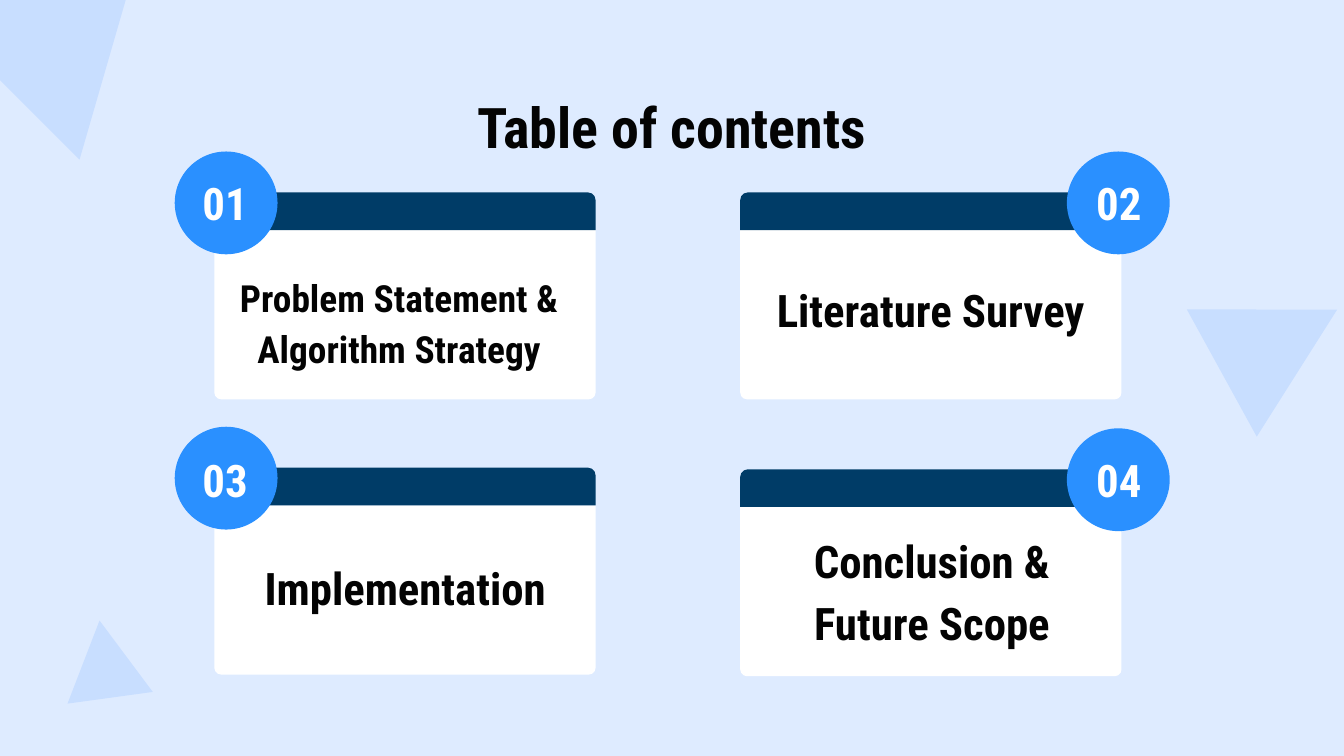
import pptx
import pptx.util
import pptx.dml.color
import pptx.enum.shapes
import pptx.enum.text

HUES = {"back": "DEEBFF", "pale": "C8DEFF", "card": "FFFFFF",
        "bar": "003C67", "disc": "2A90FF", "ink": "030303"}
KIND = pptx.enum.shapes.MSO_SHAPE
MID = pptx.enum.text.MSO_ANCHOR.MIDDLE
TOP = pptx.enum.text.MSO_ANCHOR.TOP

deck = pptx.Presentation()
deck.slide_width = pptx.util.Inches(10)
deck.slide_height = deck.slide_width * 9 // 16
cell = deck.slide_width / 100  # square grid, 100 columns wide
slide = deck.slides.add_slide(deck.slide_layouts[5])


def draw(kind, box, hue, turn=0, bends=()):
    """Add a plain filled shape; box is in grid cells."""
    shape = slide.shapes.add_shape(kind, *[round(n * cell) for n in box])
    shape.shadow.inherit = False
    shape.fill.solid()
    shape.fill.fore_color.rgb = pptx.dml.color.RGBColor.from_string(HUES[hue])
    shape.line.fill.background()
    shape.rotation = turn
    for spot, bend in enumerate(bends):
        shape.adjustments[spot] = bend


def write(shape, box, text, size, hue, anchor=TOP, form=None):
    """Place a text shape on the grid and set its one paragraph."""
    for name, n in zip(("left", "top", "width", "height"), box):
        setattr(shape, name, round(n * cell))
    frame = shape.text_frame
    frame.text = text
    edge = round(cell)
    looks = {"word_wrap": True, "vertical_anchor": anchor,
             "auto_size": pptx.enum.text.MSO_AUTO_SIZE.NONE,
             "margin_left": edge, "margin_right": edge,
             "margin_top": edge, "margin_bottom": edge}
    for name, value in looks.items():
        setattr(frame, name, value)
    para = frame.paragraphs[0]
    form = {"alignment": pptx.enum.text.PP_ALIGN.CENTER, **(form or {})}
    for name, value in form.items():
        setattr(para, name, value)
    font = para.runs[0].font
    face = {"name": "Roboto Condensed", "size": pptx.util.Pt(size), "bold": True}
    for name, value in face.items():
        setattr(font, name, value)
    font.color.rgb = pptx.dml.color.RGBColor.from_string(HUES[hue])
    return para


back = slide.background.fill
back.solid()
back.fore_color.rgb = pptx.dml.color.RGBColor.from_string(HUES["back"])

for box, turn in [((89.8, 20.5, 10.8, 9.8), 61.2),
                  ((-4.9, -11, 20.3, 18.4), 45),
                  ((4.6, 46.15, 6.4, 5.8), 352.2)]:
    draw(KIND.ISOSCELES_TRIANGLE, box, "pale", turn)

write(slide.shapes.title, (7.8, 5.9, 84.4, 7), "Table of contents", 30, "ink")

# card left, card top, disc left, number left and top, topic, its box, size
cards = [
    (15.95, 14.32, 13, 13.4, 11.8, "Problem Statement & Algorithm Strategy",
     (16.2, 18.95, 27, 7.7), 20),
    (55.08, 14.32, 79.38, 79.9, 11.8, "Literature Survey",
     (53.5, 19.45, 30.3, 7.7), 24),
    (15.95, 34.8, 13, 13.4, 32.4, "Implementation",
     (17.8, 40.15, 24.7, 7.7), 24),
    (55.08, 34.92, 79.38, 79.9, 32.4, "Conclusion & Future Scope",
     (57, 38.1, 24.7, 7.7), 24),
]
wide, bar, body, disc = 28.37, 2.8, 12.6, 7.65
for count, card in enumerate(cards, 1):
    left, top, side, start, high, topic, box, size = card
    draw(KIND.ROUND_2_SAME_RECTANGLE, (left, top + bar, wide, body), "card",
         bends=(0, 0.04))
    draw(KIND.ROUND_2_SAME_RECTANGLE, (left, top, wide, bar), "bar",
         bends=(0.2, 0))
    draw(KIND.OVAL, (side, top - 3.05, disc, disc), "disc")
    write(slide.shapes.add_textbox(0, 0, 0, 0), (start, high, 6.7, 6.6),
          f"{count:02}", 24, "card", MID)
    para = write(slide.shapes.add_textbox(0, 0, 0, 0), box, topic, size, "ink",
                 form={"line_spacing": 1.15, "space_after": pptx.util.Pt(12)})
    if topic == "Literature Survey":
        para.space_after = pptx.util.Pt(0)
        props = para._p.get_or_add_pPr()
        props.set("marL", str(round(5 * cell)))
        props.set("indent", str(round(-3.8 * cell)))

deck.save("out.pptx")
